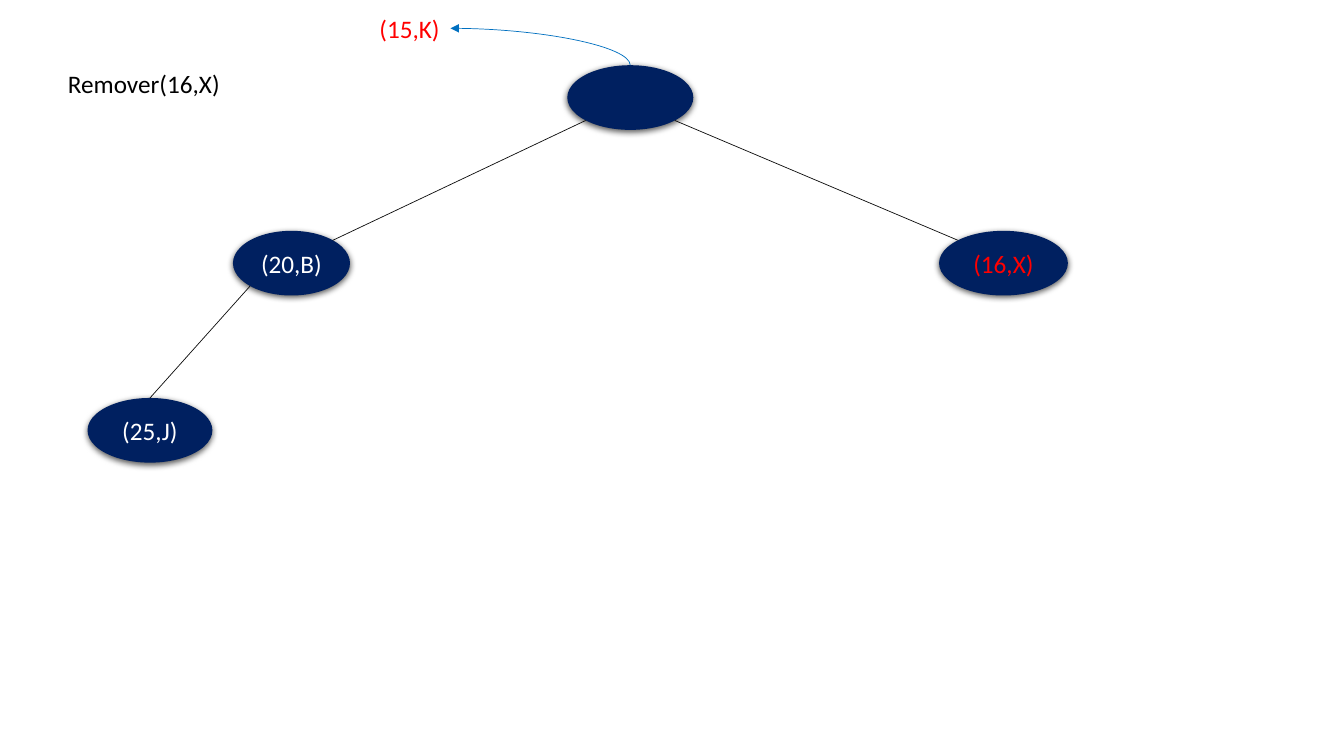
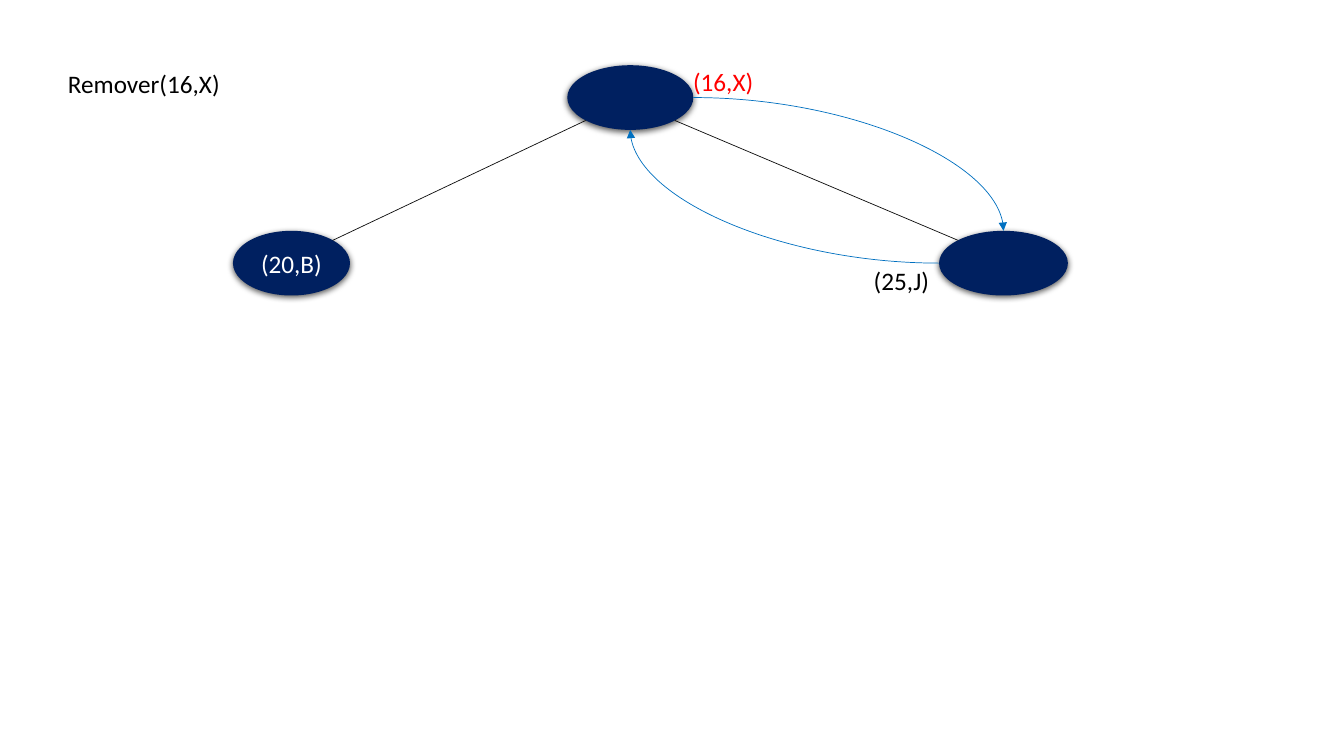
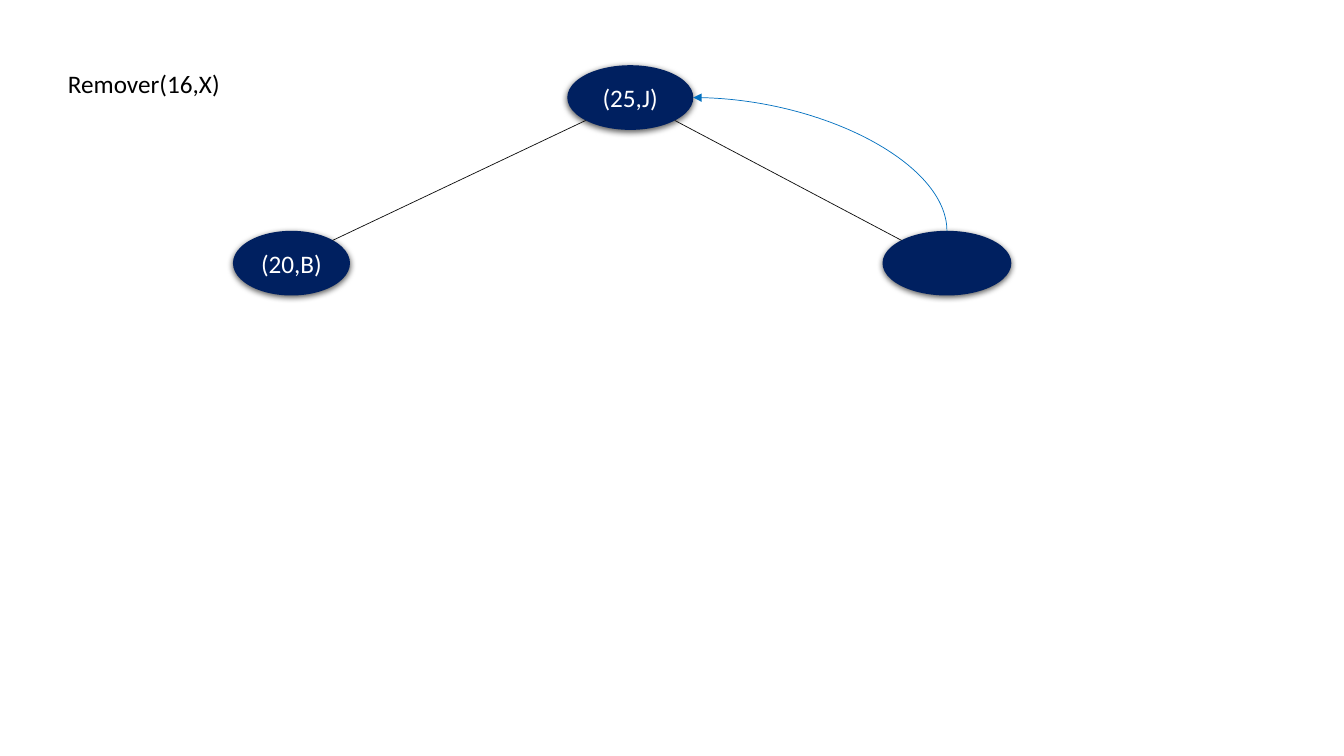
import math

import lxml.etree
import pptx
import pptx.dml.color
import pptx.enum.shapes
import pptx.enum.text
import pptx.oxml.ns
import pptx.util

Pt = pptx.util.Pt
qn = pptx.oxml.ns.qn

# Angles of the sites on a node, clockwise from the right
RIGHT, LOW_R, LOW, LOW_L, LEFT, TOP_L, TOP, TOP_R = range(0, 360, 45)

# Tree grid: tops of the levels and height of a node
LEVELS = (46.6, 164.9, 284.3)
HIGH = 46.2


class Deck:
    """Style of the deck and its current slide."""

    COLORS = {"node": "002060", "edge": "0D0D0D", "move": "0070C0",
              "text": "000000", "light": "FFFFFF", "mark": "FF0000",
              "shade": "000000"}
    FONT = "Calibri"
    SIZE = 18
    WIDTH = 0.5

    def __init__(self):
        self.prs = pptx.Presentation()
        self.prs.slide_width = Pt(960)
        self.prs.slide_height = Pt(540)
        self.slide = None

    def color(self, name):
        return pptx.dml.color.RGBColor.from_string(self.COLORS[name])

    def page(self):
        self.slide = self.prs.slides.add_slide(self.prs.slide_layouts[6])
        self.label("Remover(16,X)", 41.5, 45.4, 124.6, wrap=False)

    def letter(self, frame, text, color):
        par = frame.paragraphs[0]
        par.text = text
        par.font.name = self.FONT
        par.font.size = Pt(self.SIZE)
        par.font.color.rgb = self.color(color)
        return par

    def label(self, text, left, top, width=60.5, color="text", wrap=True):
        box = self.slide.shapes.add_textbox(Pt(left), Pt(top), Pt(width), Pt(29))
        frame = box.text_frame
        frame.word_wrap = wrap
        frame.auto_size = pptx.enum.text.MSO_AUTO_SIZE.SHAPE_TO_FIT_TEXT
        self.letter(frame, text, color)

    def node(self, left, level, width, text="", color="light"):
        oval = self.slide.shapes.add_shape(
            pptx.enum.shapes.MSO_SHAPE.OVAL,
            Pt(left), Pt(LEVELS[level]), Pt(width), Pt(HIGH))
        oval.fill.solid()
        oval.fill.fore_color.rgb = self.color("node")
        oval.line.fill.background()
        self.shade(oval)
        if text:
            frame = oval.text_frame
            frame.vertical_anchor = pptx.enum.text.MSO_ANCHOR.MIDDLE
            par = self.letter(frame, text, color)
            par.alignment = pptx.enum.text.PP_ALIGN.CENTER
        return oval

    def shade(self, shape):
        shape.shadow.inherit = False
        effect = shape.element.spPr.find(qn("a:effectLst"))
        outer = lxml.etree.SubElement(
            effect, qn("a:outerShdw"), blurRad=str(Pt(4.5)),
            dist=str(Pt(1.5)), dir="5400000", rotWithShape="0")
        tone = lxml.etree.SubElement(
            outer, qn("a:srgbClr"), val=self.COLORS["shade"])
        lxml.etree.SubElement(tone, qn("a:alpha"), val="63000")

    def site(self, oval, angle):
        turn = math.radians(angle)
        x = oval.left + oval.width / 2 * (1 + math.cos(turn))
        y = oval.top + oval.height / 2 * (1 + math.sin(turn))
        return round(x), round(y)

    def join(self, kind, start, end, color):
        link = self.slide.shapes.add_connector(kind, *start, *end)
        link.line.width = Pt(self.WIDTH)
        link.line.color.rgb = self.color(color)
        lxml.etree.SubElement(link.element.spPr, qn("a:effectLst"))
        return link

    def edge(self, start, end):
        self.join(pptx.enum.shapes.MSO_CONNECTOR.STRAIGHT, start, end, "edge")

    def move(self, side, stem, tip):
        """Quarter curve, level at side and upright at stem."""
        link = self.join(pptx.enum.shapes.MSO_CONNECTOR.CURVE, side, stem, "move")
        props = link.element.spPr
        props.find(qn("a:prstGeom")).set("prst", "curvedConnector2")
        end = "a:headEnd" if tip == "side" else "a:tailEnd"
        lxml.etree.SubElement(props.find(qn("a:ln")), qn(end), type="triangle")

    def tree(self, root="", right="", shift=0):
        """Root with two children; shift moves the right one."""
        top = self.node(405.2, 0, 90, root)
        left = self.node(166.4, 1, 83.6, "(20,B)")
        other = self.node(670.8 + shift, 1, 92, right, "mark")
        self.edge(self.site(top, LOW_L), self.site(left, TOP_R))
        self.edge(self.site(top, LOW_R), self.site(other, TOP_L))
        return top, left, other


def main():
    deck = Deck()

    # Take out the root
    deck.page()
    root, left, right = deck.tree(right="(16,X)")
    leaf = deck.node(62.5, 2, 89.2, "(25,J)")
    deck.edge(deck.site(left, LOW_L), deck.site(leaf, TOP))
    deck.label("(15,K)", 264, 5.6, color="mark")
    deck.move((Pt(321.8), Pt(20.2)), deck.site(root, TOP), "side")

    # Swap the root and the right child
    deck.page()
    root, left, right = deck.tree()
    deck.move(deck.site(right, LEFT), deck.site(root, LOW), "stem")
    deck.label("(25,J)", 617, 186)
    deck.label("(16,X)", 488, 43.8, color="mark")
    deck.move(deck.site(root, RIGHT), deck.site(right, TOP), "stem")

    # Move the last key up
    deck.page()
    root, left, right = deck.tree(root="(25,J)", shift=-40.4)
    deck.move(deck.site(root, RIGHT), deck.site(right, TOP), "side")

    deck.prs.save("out.pptx")


if __name__ == "__main__":
    main()
